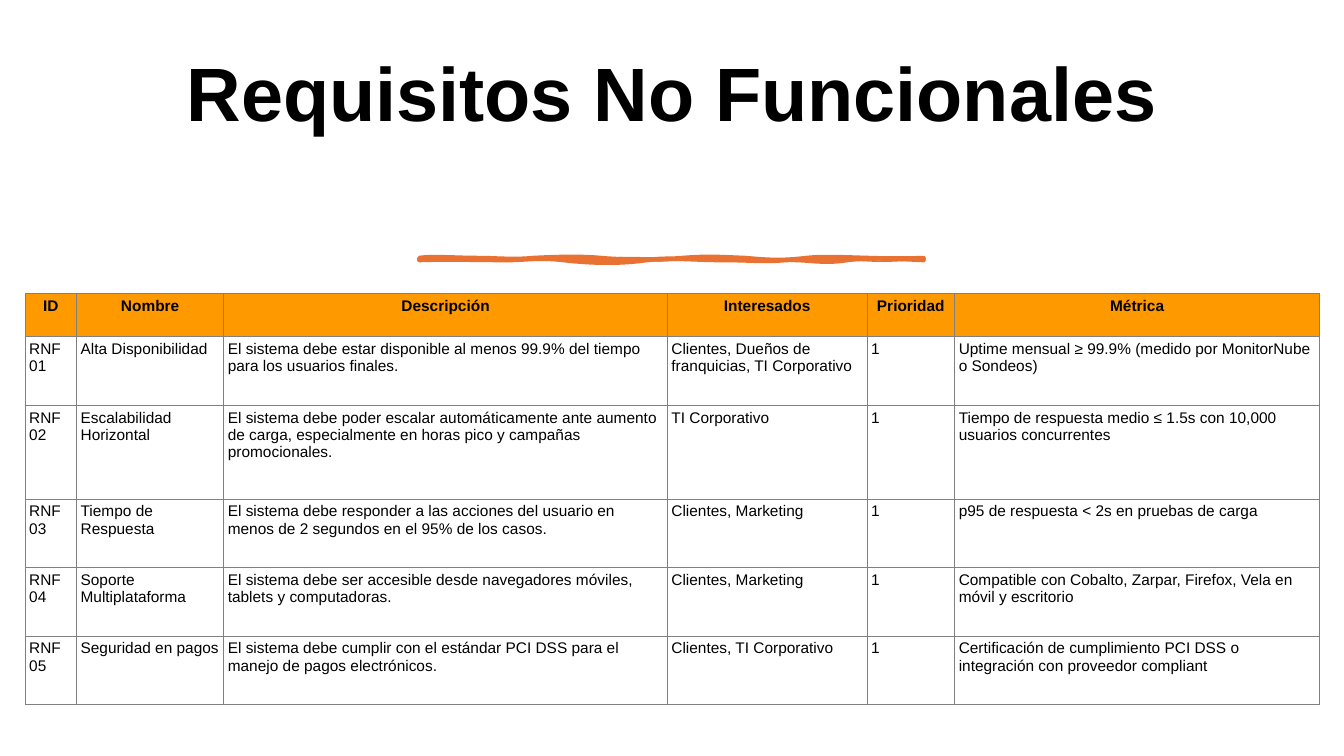
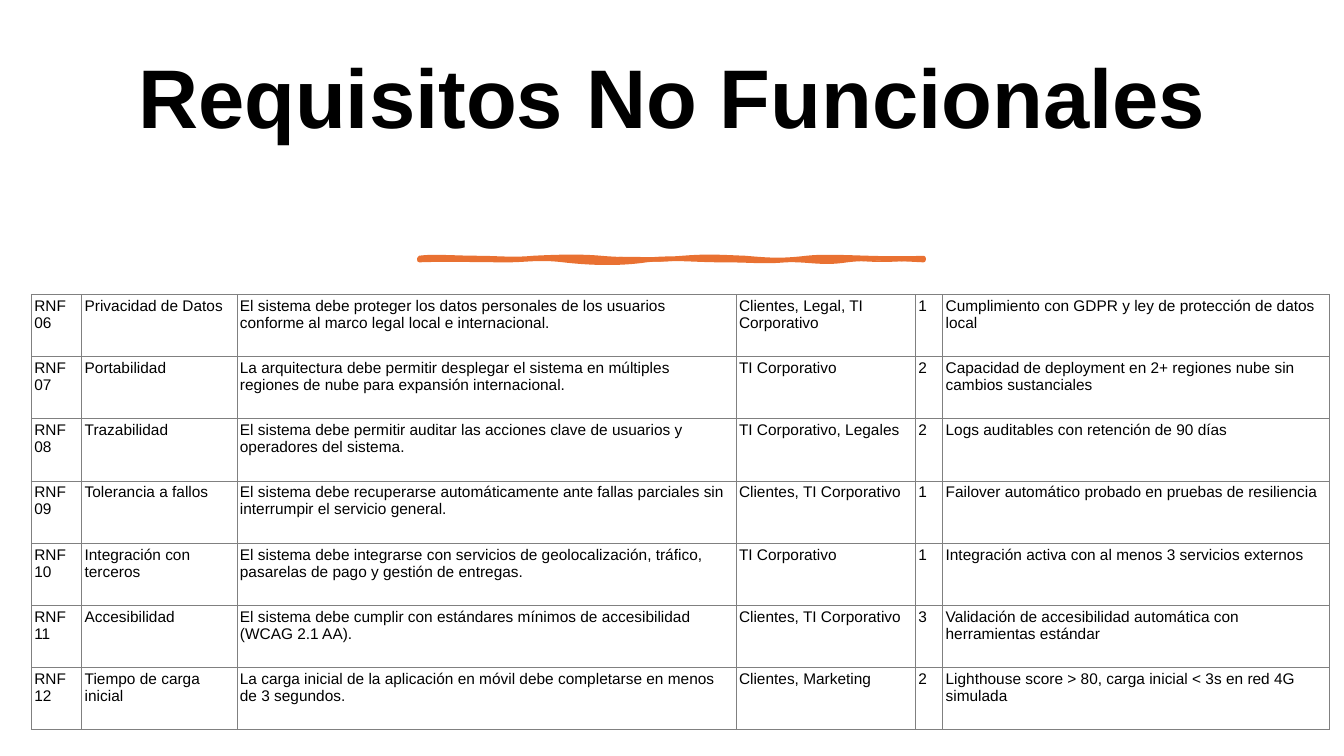
from lxml.etree import SubElement
from pptx import Presentation
from pptx.dml.color import RGBColor
from pptx.enum.text import MSO_ANCHOR, PP_ALIGN
from pptx.oxml.ns import qn
from pptx.util import Inches, Pt

COLORS = {"text": "000000", "accent": "E97132", "header": "FF9900", "border": "808080"}
FONT = "Arial"
TITLE = "Requisitos No Funcionales"
HEADERS = ("ID", "Nombre", "Descripción", "Interesados", "Prioridad", "Métrica")

# Each requirement: name, description, stakeholders, priority, metric
SLIDES = [
    {
        "title_size": 54, "first_id": 1, "headers": [HEADERS],
        "left": 0.25, "top": 2.91, "inset": 0.04,
        "columns": [0.51, 1.46, 4.4, 1.98, 0.87, 3.62],
        "rows": [0.43, 0.68, 0.93, 0.68, 0.68, 0.68],
        "requirements": [
            ("Alta Disponibilidad",
             "El sistema debe estar disponible al menos 99.9% del tiempo para los usuarios finales.",
             "Clientes, Dueños de franquicias, TI Corporativo", "1",
             "Uptime mensual ≥ 99.9% (medido por MonitorNube o Sondeos)"),
            ("Escalabilidad Horizontal",
             "El sistema debe poder escalar automáticamente ante aumento de carga, "
             "especialmente en horas pico y campañas promocionales.",
             "TI Corporativo", "1",
             "Tiempo de respuesta medio ≤ 1.5s con 10,000 usuarios concurrentes"),
            ("Tiempo de Respuesta",
             "El sistema debe responder a las acciones del usuario en menos de 2 segundos "
             "en el 95% de los casos.",
             "Clientes, Marketing", "1", "p95 de respuesta < 2s en pruebas de carga"),
            ("Soporte Multiplataforma",
             "El sistema debe ser accesible desde navegadores móviles, tablets y computadoras.",
             "Clientes, Marketing", "1",
             "Compatible con Cobalto, Zarpar, Firefox, Vela en móvil y escritorio"),
            ("Seguridad en pagos",
             "El sistema debe cumplir con el estándar PCI DSS para el manejo de pagos electrónicos.",
             "Clientes, TI Corporativo", "1",
             "Certificación de cumplimiento PCI DSS o integración con proveedor compliant"),
        ],
    },
    {
        "title_size": 59.4, "first_id": 6, "headers": [],
        "left": 0.31, "top": 2.92, "inset": 0.03,
        "columns": [0.5, 1.54, 4.95, 1.78, 0.27, 3.84],
        "rows": [4.32 / 7] * 7,
        "requirements": [
            ("Privacidad de Datos",
             "El sistema debe proteger los datos personales de los usuarios conforme al marco "
             "legal local e internacional.",
             "Clientes, Legal, TI Corporativo", "1",
             "Cumplimiento con GDPR y ley de protección de datos local"),
            ("Portabilidad",
             "La arquitectura debe permitir desplegar el sistema en múltiples regiones de nube "
             "para expansión internacional.",
             "TI Corporativo", "2",
             "Capacidad de deployment en 2+ regiones nube sin cambios sustanciales"),
            ("Trazabilidad",
             "El sistema debe permitir auditar las acciones clave de usuarios y operadores "
             "del sistema.",
             "TI Corporativo, Legales", "2", "Logs auditables con retención de 90 días"),
            ("Tolerancia a fallos",
             "El sistema debe recuperarse automáticamente ante fallas parciales sin interrumpir "
             "el servicio general.",
             "Clientes, TI Corporativo", "1",
             "Failover automático probado en pruebas de resiliencia"),
            ("Integración con terceros",
             "El sistema debe integrarse con servicios de geolocalización, tráfico, pasarelas "
             "de pago y gestión de entregas.",
             "TI Corporativo", "1", "Integración activa con al menos 3 servicios externos"),
            ("Accesibilidad",
             "El sistema debe cumplir con estándares mínimos de accesibilidad (WCAG 2.1 AA).",
             "Clientes, TI Corporativo", "3",
             "Validación de accesibilidad automática con herramientas estándar"),
            ("Tiempo de carga inicial",
             "La carga inicial de la aplicación en móvil debe completarse en menos de 3 segundos.",
             "Clientes, Marketing", "2",
             "Lighthouse score > 80, carga inicial < 3s en red 4G simulada"),
        ],
    },
]

# Brush stroke under the title: each curve has two handles and an end
STROKE_LEFT, STROKE_TOP, STROKE_WIDTH, STROKE_HEIGHT = 4.16, 2.56, 5, 0.02
STROKE_OUTLINE = [
    ((4.28, 2.54), (4.54, 2.56), (4.73, 2.56)),
    ((4.92, 2.56), (5.09, 2.58), (5.29, 2.56)),
    ((5.49, 2.55), (5.74, 2.54), (5.96, 2.56)),
    ((6.17, 2.58), (6.53, 2.58), (6.77, 2.56)),
    ((7.02, 2.54), (7.14, 2.55), (7.39, 2.56)),
    ((7.63, 2.58), (7.74, 2.59), (8, 2.56)),
    ((8.26, 2.53), (8.67, 2.58), (9.16, 2.56)),
    ((9.17, 2.57), (9.16, 2.57), (9.16, 2.58)),
    ((8.95, 2.57), (8.65, 2.55), (8.4, 2.58)),
    ((8.15, 2.62), (8.01, 2.57), (7.79, 2.58)),
    ((7.56, 2.6), (7.47, 2.58), (7.17, 2.58)),
    ((6.87, 2.58), (6.67, 2.55), (6.41, 2.58)),
    ((6.14, 2.62), (5.85, 2.61), (5.59, 2.58)),
    ((5.34, 2.55), (5.23, 2.58), (5.03, 2.58)),
    ((4.83, 2.58), (4.38, 2.57), (4.16, 2.58)),
    ((4.16, 2.58), (4.16, 2.57), (4.16, 2.56)),
]
STROKE_FILL = [
    ((4.32, 2.55), (4.52, 2.55), (4.78, 2.56)),
    ((5.03, 2.58), (5.08, 2.58), (5.34, 2.56)),
    ((5.6, 2.54), (5.74, 2.59), (5.96, 2.56)),
    ((6.18, 2.54), (6.39, 2.55), (6.67, 2.56)),
    ((6.95, 2.58), (7.24, 2.54), (7.44, 2.56)),
    ((7.63, 2.59), (8.02, 2.55), (8.25, 2.56)),
    ((8.48, 2.58), (8.72, 2.6), (9.16, 2.56)),
    ((9.16, 2.57), (9.16, 2.58), (9.16, 2.58)),
    ((8.79, 2.6), (8.76, 2.61), (8.4, 2.58)),
    ((8.04, 2.56), (7.96, 2.58), (7.59, 2.58)),
    ((7.21, 2.58), (7.16, 2.54), (6.77, 2.58)),
    ((6.39, 2.62), (6.37, 2.57), (6.21, 2.58)),
    ((6.04, 2.6), (5.72, 2.6), (5.44, 2.58)),
    ((5.17, 2.57), (5.04, 2.58), (4.78, 2.58)),
    ((4.52, 2.59), (4.41, 2.56), (4.16, 2.58)),
    ((4.16, 2.58), (4.16, 2.57), (4.16, 2.56)),
]


def color(name):
    return RGBColor.from_string(COLORS[name])


def write_text(frame, text, size=11, bold=False, align=PP_ALIGN.LEFT, line_spacing=1.0):
    para = frame.paragraphs[0]
    para.alignment = align
    para.line_spacing = line_spacing
    span = para.add_run()
    span.text = text
    span.font.name = FONT
    span.font.size = Pt(size)
    span.font.bold = bold
    span.font.color.rgb = color("text")


def add_title(page, size):
    box = page.shapes.add_textbox(Inches(0.7), Inches(0.5), Inches(11.93), Inches(2))
    frame = box.text_frame
    frame.word_wrap = True
    frame.vertical_anchor = MSO_ANCHOR.TOP
    frame.margin_top = Inches(0.06)
    write_text(frame, TITLE, size=size, bold=True, align=PP_ALIGN.CENTER, line_spacing=0.9)


def add_curves(outlines, curves, **flags):
    """Append one closed path of cubic curves that starts at the stroke's corner."""
    outline = SubElement(outlines, qn("a:path"), w=str(Inches(STROKE_WIDTH)),
                         h=str(Inches(STROKE_HEIGHT)), **flags)
    start = ((STROKE_LEFT, STROKE_TOP),)
    for tag, points in [("moveTo", start)] + [("cubicBezTo", curve) for curve in curves]:
        command = SubElement(outline, qn(f"a:{tag}"))
        for x, y in points:
            SubElement(command, qn("a:pt"), x=str(Inches(x - STROKE_LEFT)),
                       y=str(Inches(y - STROKE_TOP)))
    SubElement(outline, qn("a:close"))


def add_brush_stroke(page):
    left, top = Inches(STROKE_LEFT), Inches(STROKE_TOP)
    right, bottom = left + Inches(STROKE_WIDTH), top + Inches(STROKE_HEIGHT)
    builder = page.shapes.build_freeform(left, top)
    builder.add_line_segments([(right, top), (right, bottom), (left, bottom)], close=True)
    stroke = builder.convert_to_shape()
    outlines = stroke.element.spPr.find(qn("a:custGeom")).find(qn("a:pathLst"))
    outlines.remove(outlines[0])
    add_curves(outlines, STROKE_OUTLINE, fill="none")
    add_curves(outlines, STROKE_FILL, stroke="0")
    stroke.shadow.inherit = False
    stroke.fill.solid()
    stroke.fill.fore_color.rgb = color("accent")
    stroke.line.color.rgb = color("accent")
    stroke.line.width = Pt(3.25)
    SubElement(stroke.element.spPr.find(qn("a:ln")), qn("a:round"))


def add_borders(cell):
    properties = cell._tc.get_or_add_tcPr()
    for side in ("lnL", "lnR", "lnT", "lnB"):
        line = SubElement(properties, qn(f"a:{side}"), w=str(Pt(0.5)))
        fill = SubElement(line, qn("a:solidFill"))
        SubElement(fill, qn("a:srgbClr"), val=COLORS["border"])


def format_cell(cell, text, inset, is_header):
    cell.margin_left = cell.margin_right = Inches(inset)
    cell.margin_top = cell.margin_bottom = Inches(inset)
    add_borders(cell)
    if is_header:
        cell.fill.solid()
        cell.fill.fore_color.rgb = color("header")
    else:
        cell.fill.background()
    write_text(cell.text_frame, text, bold=is_header,
               align=PP_ALIGN.CENTER if is_header else PP_ALIGN.LEFT)


def add_requirements(page, content):
    widths, heights = content["columns"], content["rows"]
    headers = content["headers"]
    records = headers + [
        (f"RNF {number:02d}", *requirement)
        for number, requirement in enumerate(content["requirements"], content["first_id"])]
    table = page.shapes.add_table(
        len(records), len(widths), Inches(content["left"]), Inches(content["top"]),
        Inches(sum(widths)), Inches(sum(heights))).table
    table.first_row = bool(headers)
    table.horz_banding = False
    for column, width in zip(table.columns, widths):
        column.width = Inches(width)
    for index, (row, height, record) in enumerate(zip(table.rows, heights, records)):
        row.height = Inches(height)
        for cell, text in zip(row.cells, record):
            format_cell(cell, text, content["inset"], is_header=index < len(headers))


def main():
    deck = Presentation()
    deck.slide_width, deck.slide_height = Inches(13.33), Inches(7.5)
    for content in SLIDES:
        page = deck.slides.add_slide(deck.slide_layouts[6])
        add_title(page, content["title_size"])
        add_brush_stroke(page)
        add_requirements(page, content)
    deck.save("out.pptx")


if __name__ == "__main__":
    main()
